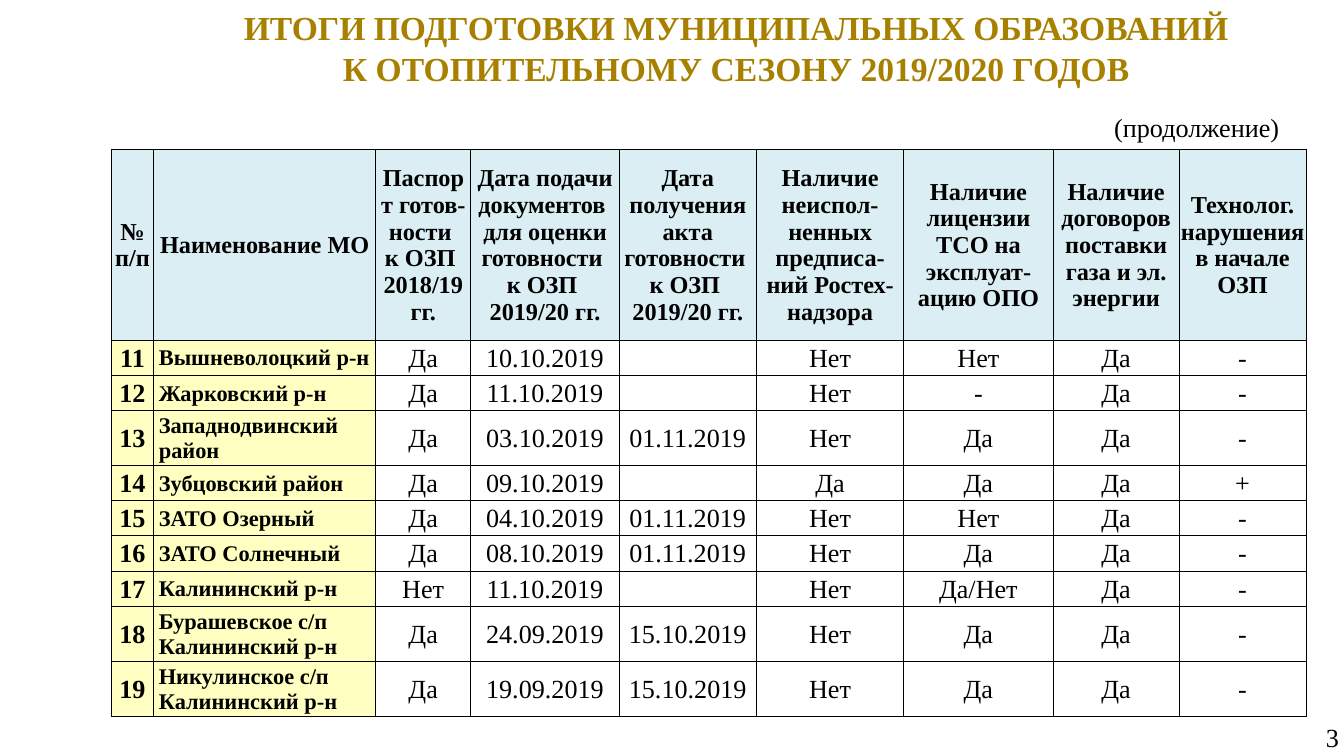
from lxml import etree
from pptx import Presentation
from pptx.dml.color import RGBColor
from pptx.enum.text import MSO_ANCHOR, PP_ALIGN
from pptx.oxml.ns import qn
from pptx.util import Pt

LEFT, CENTER, RIGHT = PP_ALIGN.LEFT, PP_ALIGN.CENTER, PP_ALIGN.RIGHT
TOP, MIDDLE = MSO_ANCHOR.TOP, MSO_ANCHOR.MIDDLE
FONT = "Times New Roman"
COLORS = {
    "text": "000000",
    "title": "A88000",
    "header": "DBEEF4",
    "label": "FFFFC1",
    "border": "000000",
}

COL_WIDTHS = [22.5, 119, 51, 79.5, 73.5, 79, 80, 67.5, 68]
HEADER_HEIGHT, ROW_HEIGHT = 102.25, 18.85

# "\v" is a line break, "\n" starts a new paragraph
HEADERS = [
    "№ п/п",
    "Наименование МО",
    "Паспорт готов-ности \vк ОЗП \v2018/19 гг.",
    "Дата подачи документов \vдля оценки готовности \vк ОЗП \v2019/20 гг.",
    "Дата получения акта готовности \nк ОЗП \v2019/20 гг.",
    "Наличие неиспол-ненных предписа-ний Ростех-надзора",
    "Наличие лицензии ТСО на эксплуат-ацию ОПО",
    "Наличие договоров поставки газа и эл. энергии",
    "Технолог. нарушения в начале ОЗП",
]
ROWS = [
    ["11", "Вышневолоцкий р-н", "Да", "10.10.2019", "", "Нет", "Нет", "Да", "-"],
    ["12", "Жарковский р-н", "Да", "11.10.2019", "", "Нет", "-", "Да", "-"],
    ["13", "Западнодвинский район", "Да", "03.10.2019", "01.11.2019", "Нет", "Да", "Да", "-"],
    ["14", "Зубцовский район", "Да", "09.10.2019", "", "Да", "Да", "Да", "+"],
    ["15", "ЗАТО Озерный", "Да", "04.10.2019", "01.11.2019", "Нет", "Нет", "Да", "-"],
    ["16", "ЗАТО Солнечный", "Да", "08.10.2019", "01.11.2019", "Нет", "Да", "Да", "-"],
    ["17", "Калининский р-н", "Нет", "11.10.2019", "", "Нет", "Да/Нет", "Да", "-"],
    ["18", "Бурашевское с/п Калининский р-н", "Да", "24.09.2019", "15.10.2019", "Нет", "Да", "Да", "-"],
    ["19", "Никулинское с/п Калининский р-н", "Да", "19.09.2019", "15.10.2019", "Нет", "Да", "Да", "-"],
]


def format_text(tf, size, color="text", bold=False, align=LEFT):
    for p in tf.paragraphs:
        p.alignment = align
        for r in p.runs:
            r.font.name = FONT
            r.font.size = Pt(size)
            r.font.bold = bold
            r.font.color.rgb = RGBColor.from_string(COLORS[color])
        # Line breaks and empty paragraphs carry their own text size
        for br in p._p.findall(qn("a:br")):
            etree.SubElement(br, qn("a:rPr"), sz=str(size * 100))
        if not p.runs:
            etree.SubElement(p._p, qn("a:endParaRPr"), sz=str(size * 100))


def add_text(slide, text, box, size, anchor=TOP, margins=(7.2, 3.6), **style):
    sp = slide.shapes.add_textbox(*map(Pt, box))
    tf = sp.text_frame
    tf.word_wrap = True
    tf.vertical_anchor = anchor
    tf.margin_left = tf.margin_right = Pt(margins[0])
    tf.margin_top = tf.margin_bottom = Pt(margins[1])
    tf.text = text
    format_text(tf, size, **style)


def set_borders(cell):
    tc_pr = cell._tc.get_or_add_tcPr()
    for index, side in enumerate(("lnL", "lnR", "lnT", "lnB")):
        ln = etree.Element(qn(f"a:{side}"), w=str(Pt(0.5)))
        fill = etree.SubElement(ln, qn("a:solidFill"))
        etree.SubElement(fill, qn("a:srgbClr"), val=COLORS["border"])
        tc_pr.insert(index, ln)


def fill_cell(cell, text, size, fill=None, bold=False, align=CENTER):
    cell.text = text
    cell.vertical_anchor = MIDDLE
    cell.margin_left = Pt(0.72 if align == CENTER else 2.88)
    cell.margin_right = cell.margin_top = Pt(0.72)
    cell.margin_bottom = 0
    if fill:
        cell.fill.solid()
        cell.fill.fore_color.rgb = RGBColor.from_string(COLORS[fill])
    else:
        cell.fill.background()
    format_text(cell.text_frame, size, bold=bold, align=align)
    set_borders(cell)


def add_readiness_table(slide):
    height = HEADER_HEIGHT + ROW_HEIGHT * len(ROWS)
    frame = slide.shapes.add_table(len(ROWS) + 1, len(HEADERS), Pt(59.75), Pt(80),
                                   Pt(sum(COL_WIDTHS)), Pt(height))
    table = frame.table
    table.horz_banding = False
    table.first_row = False
    for col, width in zip(table.columns, COL_WIDTHS):
        col.width = Pt(width)
    for i, row in enumerate(table.rows):
        row.height = Pt(ROW_HEIGHT if i else HEADER_HEIGHT)

    for c, text in enumerate(HEADERS):
        fill_cell(table.cell(0, c), text, 13, "header", bold=True)
    for i, (number, name, *values) in enumerate(ROWS, start=1):
        fill_cell(table.cell(i, 0), number, 14, "label", bold=True)
        fill_cell(table.cell(i, 1), name, 12, "label", bold=True, align=LEFT)
        for c, value in enumerate(values, start=2):
            fill_cell(table.cell(i, c), value, 14)


def main():
    prs = Presentation()
    prs.slide_width, prs.slide_height = Pt(720), Pt(405)
    slide = prs.slides.add_slide(prs.slide_layouts[6])
    add_text(slide, "3", (585.5, 383.75, 137.5, 18), 14, margins=(5.75, 2.9), align=RIGHT)
    add_readiness_table(slide)
    add_text(slide, "(продолжение)", (589.75, 56.25, 130.25, 23.75), 14)
    add_text(slide,
             "ИТОГИ ПОДГОТОВКИ МУНИЦИПАЛЬНЫХ ОБРАЗОВАНИЙ\n"
             "К ОТОПИТЕЛЬНОМУ СЕЗОНУ 2019/2020 ГОДОВ",
             (69, 0, 651, 51), 18, MIDDLE, color="title", bold=True, align=CENTER)
    prs.save("out.pptx")


if __name__ == "__main__":
    main()
